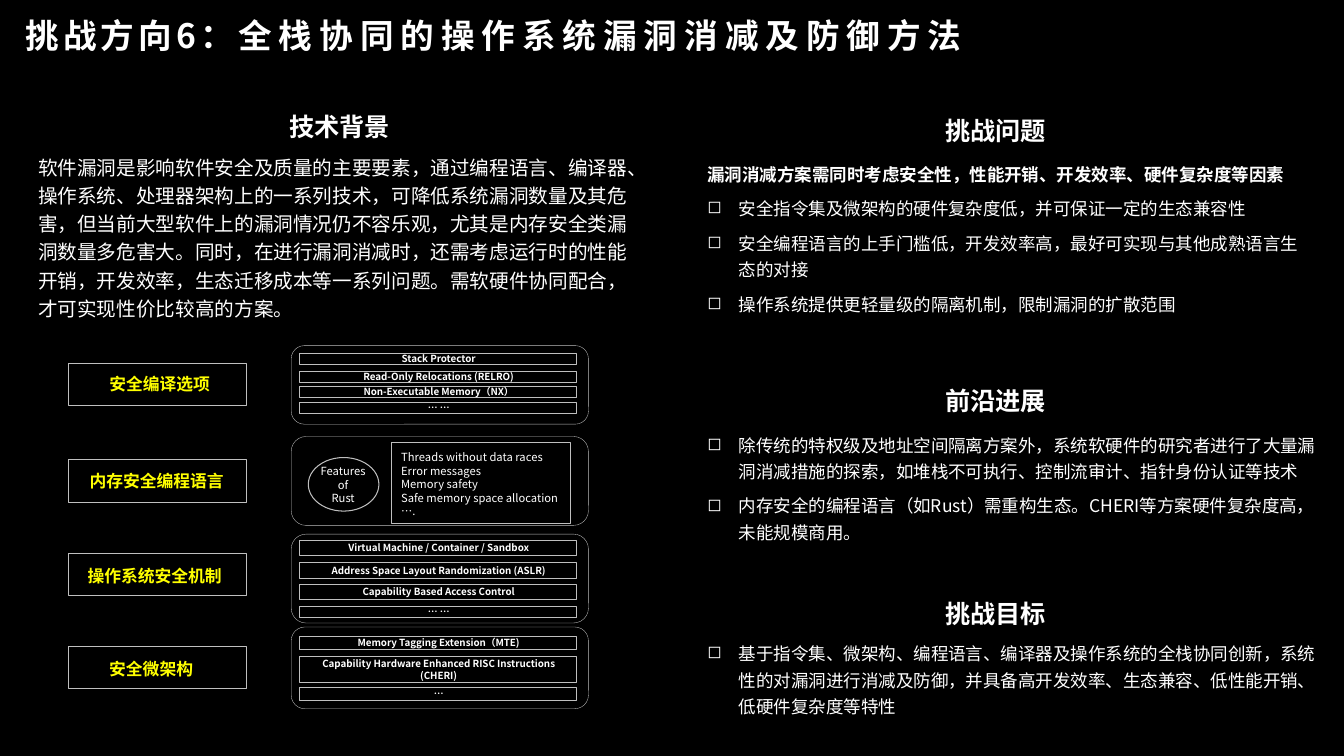
"""Build the slide on full-stack reduction of operating system vulnerabilities."""
from dataclasses import dataclass

from lxml import etree
from pptx import Presentation
from pptx import util as u
from pptx.dml.color import RGBColor
from pptx.enum import shapes, text
from pptx.oxml.ns import qn


@dataclass(frozen=True)
class Theme:
    """Colours, font and type sizes of the slide."""
    font: str = "Noto Sans CJK SC"
    background: str = "000000"
    body: str = "FFFFFF"
    accent: str = "FFFF00"
    line: str = "BFBFBF"
    title_size: float = 24
    heading_size: float = 18
    intro_size: float = 14
    list_size: float = 12.5
    label_size: float = 12
    rust_size: float = 8
    bar_size: float = 7


THEME = Theme()

TITLE = [("挑战方向6：", 3), ("全栈协同的操作系统漏洞消减及防御方法", 5)]
HEADINGS = [
    ("技术背景", 7.04, 2.67),
    ("挑战问题", 23.57, 2.79),
    ("前沿进展", 23.57, 9.58),
    ("挑战目标", 23.57, 14.96),
]
INTRO = (
    "软件漏洞是影响软件安全及质量的主要要素，通过编程语言、编译器、操作系统、处理器架构上的一系列技术，"
    "可降低系统漏洞数量及其危害，但当前大型软件上的漏洞情况仍不容乐观，尤其是内存安全类漏洞数量多危害大。"
    "同时，在进行漏洞消减时，还需考虑运行时的性能开销，开发效率，生态迁移成本等一系列问题。"
    "需软硬件协同配合，才可实现性价比较高的方案。"
)
LISTS = [
    (3.99, 15.01, 3.91, "漏洞消减方案需同时考虑安全性，性能开销、开发效率、硬件复杂度等因素", [
        "安全指令集及微架构的硬件复杂度低，并可保证一定的生态兼容性",
        "安全编程语言的上手门槛低，开发效率高，最好可实现与其他成熟语言生态的对接",
        "操作系统提供更轻量级的隔离机制，限制漏洞的扩散范围",
    ]),
    (10.82, 15.39, 2.82, None, [
        "除传统的特权级及地址空间隔离方案外，系统软硬件的研究者进行了大量漏洞消减措施的探索，"
        "如堆栈不可执行、控制流审计、指针身份认证等技术",
        "内存安全的编程语言（如Rust）需重构生态。CHERI等方案硬件复杂度高，未能规模商用。",
    ]),
    (16.08, 15.39, 1.93, None, [
        "基于指令集、微架构、编程语言、编译器及操作系统的全栈协同创新，系统性的对漏洞进行消减及防御，"
        "并具备高开发效率、生态兼容、低性能开销、低硬件复杂度等特性",
    ]),
]
LABELS = [
    ("安全编译选项", 9.14, (2.49, 9.3, 3.07, 0.76)),
    ("内存安全编程语言", 11.58, (1.98, 11.73, 3.94, 0.76)),
    ("操作系统安全机制", 13.94, (1.93, 14.12, 3.94, 0.76)),
    ("安全微架构", 16.28, (2.49, 16.48, 2.64, 0.76)),
]
FRAMES = [(8.71, 1.98), (11, 2.24), (13.46, 2.24), (15.8, 2.06)]
BARS = [
    ("Stack Protector", 8.89, 0.28),
    ("Read-Only Relocations (RELRO)", 9.35, 0.28),
    ("Non-Executable Memory（NX）", 9.73, 0.28),
    ("… …", 10.13, 0.28),
    ("Virtual Machine / Container / Sandbox", 13.61, 0.38),
    ("Address Space Layout Randomization (ASLR)", 14.17, 0.41),
    ("Capability Based Access Control", 14.73, 0.38),
    ("… …", 15.27, 0.28),
    ("Memory Tagging Extension（MTE)", 16.03, 0.33),
    ("Capability Hardware Enhanced RISC Instructions (CHERI)", 16.54, 0.66),
    ("…", 17.32, 0.33),
]
RUST_CAPTION = ["Features", "of", "Rust"]
RUST_FEATURES = [
    "Threads without data races",
    "Error messages",
    "Memory safety",
    "Safe memory space allocation",
    "….",
]


def cm(box):
    return [u.Cm(value) for value in box]


def style(paragraph, size, bold=False, color=THEME.body, centered=False):
    font = paragraph.font
    font.size, font.bold, font.name = u.Pt(size), bold, THEME.font
    font.color.rgb = RGBColor.from_string(color)
    properties = paragraph._p.pPr.find(qn("a:defRPr"))
    etree.SubElement(properties, qn("a:ea")).set("typeface", THEME.font)
    paragraph.alignment = text.PP_ALIGN.CENTER if centered else text.PP_ALIGN.LEFT


def fill_text(frame, lines, size, **options):
    for index, line in enumerate(lines):
        paragraph = frame.add_paragraph() if index else frame.paragraphs[0]
        paragraph.add_run().text = line
        style(paragraph, size, **options)


def set_margins(frame, margins):
    (frame.margin_left, frame.margin_top,
     frame.margin_right, frame.margin_bottom) = cm(margins)


def add_text(slide, box, lines, size, wrap=True, **options):
    frame = slide.shapes.add_textbox(*cm(box)).text_frame
    frame.word_wrap = wrap
    frame.auto_size = text.MSO_AUTO_SIZE.SHAPE_TO_FIT_TEXT
    fill_text(frame, lines, size, **options)
    return frame


def add_outline(slide, kind, box, width=0.25):
    shape = slide.shapes.add_shape(kind, *cm(box))
    shape.shadow.inherit = False
    shape.fill.background()
    shape.line.color.rgb = RGBColor.from_string(THEME.line)
    shape.line.width = u.Pt(width)
    return shape


def add_bullet(paragraph):
    properties = paragraph._p.pPr
    indent = u.Cm(0.79)
    properties.set("marL", str(indent))
    properties.set("indent", str(-indent))
    bullet = etree.Element(qn("a:buChar"), char="◻")
    properties.find(qn("a:defRPr")).addprevious(bullet)


def add_title(slide):
    frame = slide.shapes.add_textbox(*cm((0.64, 0, 26.67, 1.75))).text_frame
    frame.word_wrap = True
    frame.vertical_anchor = text.MSO_ANCHOR.MIDDLE
    set_margins(frame, (0, 0, 0, 0))
    paragraph = frame.paragraphs[0]
    for words, spacing in TITLE:
        run = paragraph.add_run()
        run.text = words
        run._r.get_or_add_rPr().set("spc", str(spacing * 100))
    style(paragraph, THEME.title_size, bold=True)


def add_list(slide, top, width, height, lead, items):
    lines = ([lead] if lead else []) + items
    frame = add_text(slide, (17.83, top, width, height), lines, THEME.list_size)
    set_margins(frame, (0, 0, 0, 0))
    for paragraph, line in zip(frame.paragraphs, lines):
        paragraph.line_spacing = 1.25
        paragraph.space_before = paragraph.space_after = u.Pt(3)
        if line == lead:
            paragraph.font.bold = True
        else:
            add_bullet(paragraph)


def add_diagram(slide):
    kinds = shapes.MSO_SHAPE
    for label, top, box in LABELS:
        add_outline(slide, kinds.RECTANGLE, (1.73, top, 4.47, 1.07))
        add_text(slide, box, [label], THEME.label_size, wrap=False,
                 bold=True, color=THEME.accent, centered=True)
    for top, height in FRAMES:
        add_outline(slide, kinds.ROUNDED_RECTANGLE, (7.34, top, 7.49, height))
    add_outline(slide, kinds.OVAL, (7.77, 11.53, 1.78, 1.35), 0.75)
    add_text(slide, (7.57, 11.58, 2.16, 1.27), RUST_CAPTION, THEME.rust_size, centered=True)
    add_outline(slide, kinds.RECTANGLE, (9.86, 11.15, 4.5, 2.03))
    add_text(slide, (9.86, 11.23, 4.62, 1.96), RUST_FEATURES, THEME.rust_size)
    for label, top, height in BARS:
        bar = add_outline(slide, kinds.RECTANGLE, (7.55, top, 6.98, height))
        frame = bar.text_frame
        frame.word_wrap = True
        frame.vertical_anchor = text.MSO_ANCHOR.MIDDLE
        set_margins(frame, (0.08, 0.03, 0.05, 0.03))
        fill_text(frame, [label], THEME.bar_size, bold=True, centered=True)


def main():
    presentation = Presentation()
    presentation.slide_width, presentation.slide_height = cm((33.87, 19.05))
    slide = presentation.slides.add_slide(presentation.slide_layouts[6])
    slide.background.fill.solid()
    slide.background.fill.fore_color.rgb = RGBColor.from_string(THEME.background)
    add_title(slide)
    for heading, left, top in HEADINGS:
        add_text(slide, (left, top, 3.07, 1.02), [heading], THEME.heading_size,
                 wrap=False, bold=True)
    intro = add_text(slide, (0.71, 3.68, 15.75, 4.5), [INTRO], THEME.intro_size)
    intro.paragraphs[0].line_spacing = 1.2
    for section in LISTS:
        add_list(slide, *section)
    add_diagram(slide)
    presentation.save("out.pptx")


if __name__ == "__main__":
    main()
